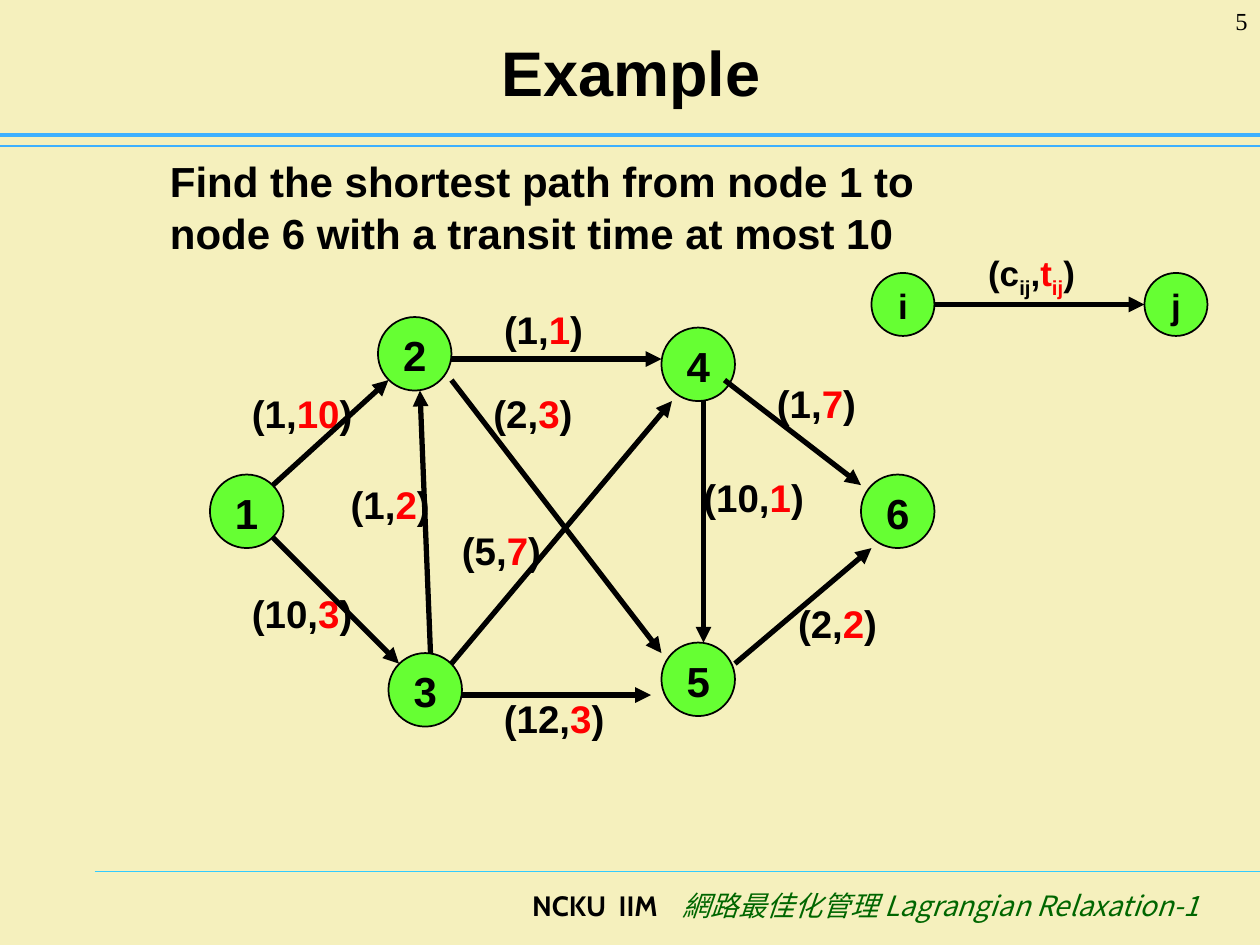
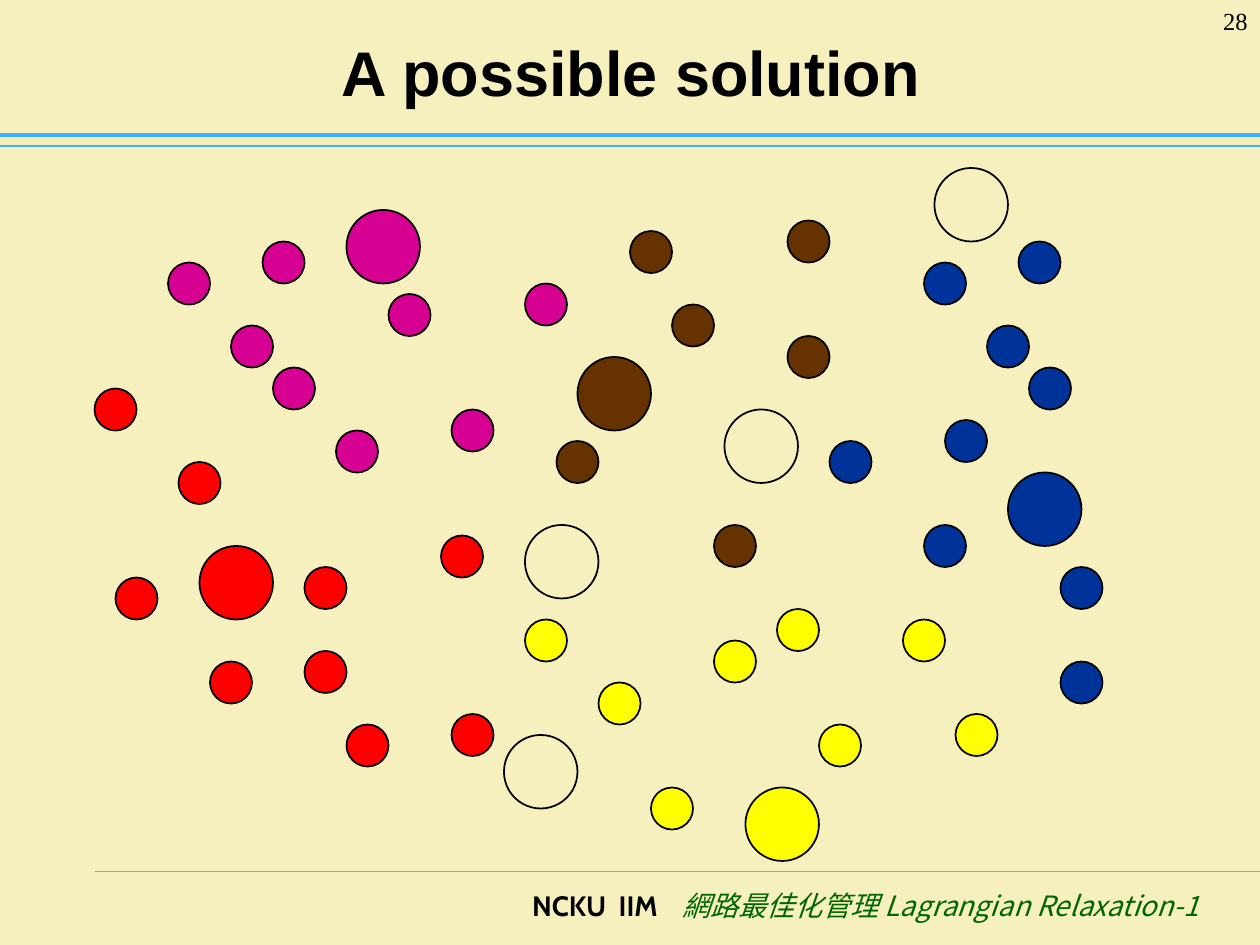
from dataclasses import dataclass
from typing import NamedTuple

from lxml.etree import SubElement
from pptx import Presentation
from pptx.dml.color import RGBColor
from pptx.enum.dml import MSO_THEME_COLOR
from pptx.enum.shapes import MSO_CONNECTOR, MSO_SHAPE
from pptx.enum.text import MSO_ANCHOR, MSO_AUTO_SIZE, PP_ALIGN
from pptx.oxml.ns import qn
from pptx.util import Cm, Pt

CREAM = RGBColor(0xF5, 0xF0, 0xBD)
BLACK = RGBColor(0, 0, 0)
RED = RGBColor(0xFF, 0, 0)
LIME = RGBColor(0x66, 0xFF, 0x33)
PINK = RGBColor(0xD6, 0x00, 0x93)
BROWN = RGBColor(0x66, 0x33, 0x00)
GOLD = RGBColor(0xFF, 0xFF, 0x00)
NAVY = RGBColor(0x00, 0x33, 0x99)
GREEN = RGBColor(0x00, 0x66, 0x00)
SKY = RGBColor(0x3D, 0xB0, 0xFF)
AQUA = RGBColor(0x33, 0xCC, 0xFF)

UNIT = 2.54 / 12  # one grid step in cm
SMALL, LARGE, KEY = 4, 7, 6  # circle sizes in grid steps
LEAD = 1.04


class Run(NamedTuple):
    text: str
    color: RGBColor = BLACK
    size: float = 24
    font: str = "Arial"
    bold: bool = True
    slant: bool = False
    sub: bool = False


@dataclass
class Node:
    name: str
    x: float
    y: float
    size: float = LARGE
    points: float = 24


@dataclass
class Edge:
    x1: float
    y1: float
    x2: float
    y2: float


@dataclass
class Label:
    x: float
    y: float
    cost: int
    time: int


@dataclass
class Group:
    color: RGBColor
    hubs: list
    dots: list


NODES = [
    Node("1", 20, 45.2), Node("2", 36, 30.2), Node("4", 63, 31.2),
    Node("5", 63, 61.2), Node("3", 37, 62.2), Node("6", 82, 45.2),
    Node("i", 83, 26, KEY, 20), Node("j", 109, 26, KEY, 20),
]
EDGES = [
    Edge(26, 46.2, 37, 36.2), Edge(43, 34.2, 63, 34.2),
    Edge(43, 36.2, 63, 62.2), Edge(26, 51.2, 38, 63.2),
    Edge(41, 62.2, 40, 37.2), Edge(43, 63.2, 64, 38.2),
    Edge(44, 66.2, 62, 66.2), Edge(70, 63.2, 83, 52.2),
    Edge(69, 36.2, 82, 46.2), Edge(67, 38.2, 67, 61.2),
    Edge(89, 29, 109, 29),
]
LABELS = [
    Label(24, 37, 1, 10), Label(48, 29, 1, 1), Label(74, 36, 1, 7),
    Label(47, 37, 2, 3), Label(24, 56, 10, 3), Label(48, 66, 12, 3),
    Label(76, 57, 2, 2), Label(33.4, 45.6, 1, 2), Label(67, 45, 10, 1),
    Label(44, 50, 5, 7),
]
GROUPS = [
    Group(PINK, [(33, 20)], [(16, 25), (25, 23), (22, 31), (37, 28),
                             (26, 35), (32, 41), (43, 39), (50, 27)]),
    Group(RED, [(19, 52)], [(9, 37), (20, 63), (17, 44), (42, 51), (29, 54),
                            (43, 68), (33, 69), (11, 55), (29, 62)]),
    Group(BROWN, [(55, 34)], [(64, 29), (68, 50), (75, 32), (53, 42),
                              (60, 22), (75, 21)]),
    Group(GOLD, [(71, 75)], [(86, 59), (50, 59), (68, 61), (78, 69),
                             (91, 68), (74, 58), (57, 65), (62, 75)]),
    Group(NAVY, [(96, 45)], [(90, 40), (88, 25), (79, 42), (97, 23), (94, 31),
                             (98, 35), (88, 50), (101, 54), (101, 63)]),
    Group(CREAM, [(69, 39), (48, 70), (50, 50), (89, 16)], []),
]


def grid(*steps: float) -> list:
    return [Cm(step * UNIT) for step in steps]


def write(frame, runs: list, align=PP_ALIGN.LEFT, lead: float = 1) -> None:
    para = frame.paragraphs[0]
    para.alignment = align
    para.line_spacing = lead
    para.space_before = Pt(0)
    for item in runs:
        run = para.add_run()
        run.text = item.text
        font = run.font
        font.name, font.size = item.font, Pt(item.size)
        font.bold, font.italic = item.bold, item.slant
        font.color.rgb = item.color
        props = font._element
        SubElement(props, qn("a:ea")).set("typeface", item.font)
        if item.sub:
            props.set("baseline", "-25000")


def add_text(slide, box: tuple, runs: list, align=PP_ALIGN.LEFT,
             lead: float = 1, tight: bool = False) -> None:
    frame = slide.shapes.add_textbox(*grid(*box)).text_frame
    frame.word_wrap = not tight
    if tight:
        frame.margin_left = frame.margin_right = 0
        frame.margin_top = frame.margin_bottom = 0
    write(frame, runs, align, lead)


def add_line(slide, edge: Edge, color: RGBColor, width: float,
             arrow: bool = False) -> None:
    ends = grid(edge.x1, edge.y1, edge.x2, edge.y2)
    link = slide.shapes.add_connector(MSO_CONNECTOR.STRAIGHT, *ends)
    link.line.color.rgb = color
    link.line.width = Pt(width)
    if arrow:
        SubElement(link.line._get_or_add_ln(), qn("a:tailEnd")).set("type", "triangle")
    SubElement(link._element.spPr, qn("a:effectLst"))


def add_disc(slide, x: float, y: float, size: float, color: RGBColor):
    disc = slide.shapes.add_shape(MSO_SHAPE.OVAL, *grid(x, y, size, size))
    disc.shadow.inherit = False
    disc.fill.solid()
    disc.fill.fore_color.rgb = color
    disc.line.color.rgb = BLACK
    disc.line.width = Pt(1)
    return disc


def add_page(deck, title: str, number: int):
    slide = deck.slides.add_slide(deck.slide_layouts[5])
    # Rules and footer
    add_line(slide, Edge(9, 83, 120, 83), AQUA, 0.75)
    add_line(slide, Edge(0, 13.9, 120, 13.9), SKY, 0.75)
    add_line(slide, Edge(0, 12.85, 120, 12.85), SKY, 2.5)
    add_text(slide, (22, 84, 93.4, 6), [
        Run("NCKU  IIM    ", size=16, font="Cabin"),
        Run("網路最佳化管理 Lagrangian Relaxation-1", GREEN, 16,
            "Noto Sans CJK SC", False, True),
    ], PP_ALIGN.RIGHT)
    # Title and page number
    head = slide.shapes.title
    head.left, head.top, head.width, head.height = grid(6.1, 1.5, 108, 10.5)
    head.text_frame.auto_size = MSO_AUTO_SIZE.NONE
    head.text_frame.vertical_anchor = MSO_ANCHOR.MIDDLE
    write(head.text_frame, [Run(title, size=36)], PP_ALIGN.CENTER)
    add_text(slide, (110, 0, 10, 6),
             [Run(str(number), size=14, font="Times New Roman", bold=False)],
             PP_ALIGN.RIGHT)
    return slide


def add_graph(deck) -> None:
    slide = add_page(deck, "Example", 5)
    # Costs and times
    for label in LABELS:
        cost, time = f"({label.cost},", str(label.time)
        width = 2 * len(cost + time + ")") - 2.4
        runs = [Run(cost, size=22), Run(time, RED, 22), Run(")", size=22)]
        add_text(slide, (label.x, label.y, width, 4.4), runs, lead=LEAD, tight=True)
    # Nodes and arrows
    for node in NODES:
        disc = add_disc(slide, node.x, node.y, node.size, LIME)
        frame = disc.text_frame
        frame.word_wrap = False
        frame.vertical_anchor = MSO_ANCHOR.MIDDLE
        write(frame, [Run(node.name, size=node.points)], PP_ALIGN.CENTER, LEAD)
    for edge in EDGES:
        add_line(slide, edge, BLACK, 3, arrow=True)
    # Task and key
    add_text(slide, (15, 14, 80, 10.8), [Run(
        "Find the shortest path from node 1 to node 6 "
        "with a transit time at most 10")], lead=LEAD)
    add_text(slide, (94.1, 23.8, 8.3, 4.6), [
        Run("(c", size=20), Run("ij", size=20, sub=True), Run(",", size=20),
        Run("t", RED, 20), Run("ij", RED, 20, sub=True), Run(")", size=20),
    ], lead=LEAD, tight=True)


def add_map(deck) -> None:
    slide = add_page(deck, "A possible solution", 28)
    for group in GROUPS:
        for size, spots in ((SMALL, group.dots), (LARGE, group.hubs)):
            for x, y in spots:
                add_disc(slide, x, y, size, group.color)


def main() -> None:
    deck = Presentation()
    deck.slide_width, deck.slide_height = grid(120, 90)
    fill = deck.slide_master.background.fill
    fill.solid()
    fill.fore_color.rgb = CREAM
    add_graph(deck)
    add_map(deck)
    deck.save("out.pptx")


if __name__ == "__main__":
    main()
